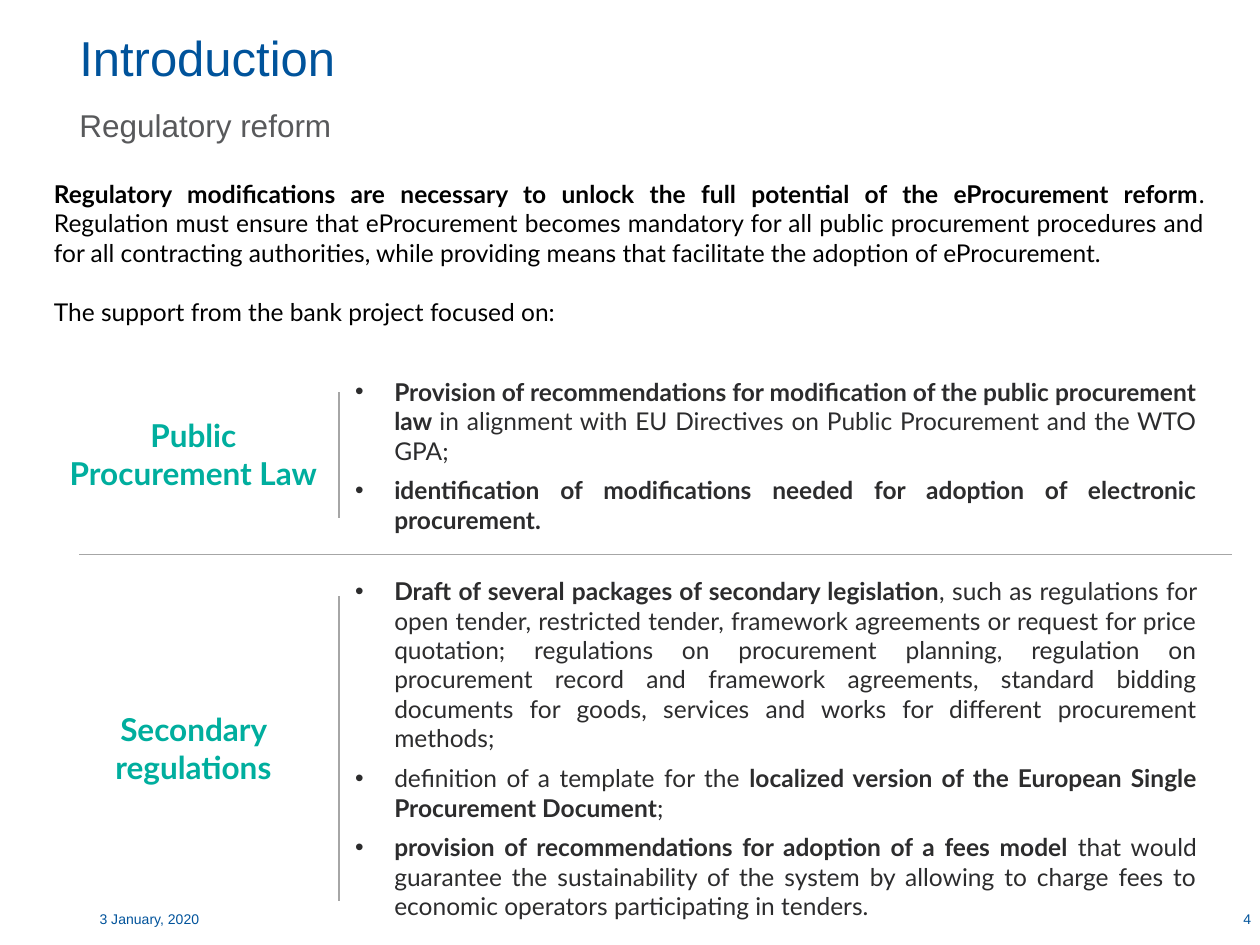
import pptx
import pptx.dml.color
import pptx.enum.shapes
import pptx.enum.text
import pptx.oxml
import pptx.oxml.ns
import pptx.util
from dataclasses import dataclass

Inches = pptx.util.Inches
Pt = pptx.util.Pt
ALIGN = pptx.enum.text.PP_ALIGN
ANCHOR = pptx.enum.text.MSO_ANCHOR


@dataclass(frozen=True)
class Theme:
    heading_font: str = "Arial"
    body_font: str = "Lato"
    blue: str = "00539B"
    grey: str = "58595B"
    black: str = "000000"
    charcoal: str = "2C2C2D"
    teal: str = "00AE9E"
    rule: str = "A6A6A6"
    title_size: int = 28
    heading_size: int = 18
    body_size: int = 14
    footer_size: int = 8
    rule_width: int = 1


THEME = Theme()

INTRO = [
    [("Regulatory modifications are necessary to unlock the full potential of the eProcurement reform", True),
     (". Regulation must ensure that eProcurement becomes mandatory for all public procurement procedures "
      "and for all contracting authorities, while providing means that facilitate the adoption of "
      "eProcurement. ", False)],
    [("The support from the bank project focused on:", False)],
]
LAW = [
    [("Provision of recommendations for modification of the public procurement law ", True),
     ("in alignment with EU Directives on Public Procurement and the WTO GPA;", False)],
    [("identification of modifications needed for adoption of electronic procurement.", True)],
]
REGULATIONS = [
    [("Draft of several packages of secondary legislation", True),
     (", such as regulations for open tender, restricted tender, framework agreements or request for price "
      "quotation; regulations on procurement planning, regulation on procurement record and framework "
      "agreements, standard bidding documents for goods, services and works for different procurement "
      "methods;", False)],
    [("definition of a template for the ", False),
     ("localized version of the European Single Procurement Document", True),
     (";", False)],
    [("provision of recommendations for adoption of a fees model ", True),
     ("that would guarantee the sustainability of the system by allowing to charge fees to economic "
      "operators participating in tenders.", False)],
]


def style_run(run, font, size, color, bold=False):
    run.font.name = font
    run.font.size = Pt(size)
    run.font.bold = bold
    run.font.color.rgb = pptx.dml.color.RGBColor.from_string(color)


def set_frame(frame, margins, anchor):
    frame.word_wrap = True
    frame.auto_size = pptx.enum.text.MSO_AUTO_SIZE.NONE
    frame.vertical_anchor = anchor
    frame.margin_left = frame.margin_right = Inches(margins[0])
    frame.margin_top = frame.margin_bottom = Inches(margins[1])


def add_frame(slide, box, margins=(0, 0), anchor=ANCHOR.MIDDLE):
    frame = slide.shapes.add_textbox(*map(Inches, box)).text_frame
    set_frame(frame, margins, anchor)
    return frame


def fill_label(frame, text, font, size, color, bold=False, align=ALIGN.LEFT):
    frame.text = text
    paragraph = frame.paragraphs[0]
    paragraph.alignment = align
    style_run(paragraph.runs[0], font, size, color, bold)
    return paragraph


def add_title(slide, text):
    title = slide.shapes.title
    title.left, title.top, title.width, title.height = map(Inches, (0.63, 0.11, 7.64, 0.68))
    set_frame(title.text_frame, (0, 0), ANCHOR.MIDDLE)
    fill_label(title.text_frame, text, THEME.heading_font, THEME.title_size, THEME.blue)


def add_footer(slide, text, box, align):
    fill_label(add_frame(slide, box), text, THEME.heading_font, THEME.footer_size, THEME.blue, align=align)


def fill_prose(frame, content, color):
    for index, pieces in enumerate(content):
        paragraph = frame.paragraphs[0] if index == 0 else frame.add_paragraph()
        paragraph.alignment = ALIGN.JUSTIFY
        for text, bold in pieces:
            run = paragraph.add_run()
            run.text = text
            style_run(run, THEME.body_font, THEME.body_size, color, bold)


def add_bullet(paragraph):
    paragraph.space_after = Pt(6)
    properties = paragraph._p.get_or_add_pPr()
    properties.set("marL", str(Inches(0.31)))
    properties.set("indent", str(-Inches(0.31)))
    namespace = pptx.oxml.ns.nsdecls("a")
    properties.append(pptx.oxml.parse_xml(f'<a:buFont {namespace} typeface="Arial"/>'))
    properties.append(pptx.oxml.parse_xml(f'<a:buChar {namespace} char="•"/>'))


def add_rule(slide, x1, y1, x2, y2):
    rule = slide.shapes.add_connector(
        pptx.enum.shapes.MSO_CONNECTOR.STRAIGHT, *map(Inches, (x1, y1, x2, y2)))
    rule.line.color.rgb = pptx.dml.color.RGBColor.from_string(THEME.rule)
    rule.line.width = Pt(THEME.rule_width)
    rule._element.spPr.append(
        pptx.oxml.parse_xml(f'<a:effectLst {pptx.oxml.ns.nsdecls("a")}/>'))


def add_section(slide, heading, content, heading_top, body_top, body_height, rule_top, rule_bottom):
    heading_frame = add_frame(slide, (0.53, heading_top, 2.01, 1.57))
    label = fill_label(heading_frame, heading, THEME.body_font, THEME.heading_size,
                       THEME.teal, True, ALIGN.CENTER)
    label.space_after = Pt(6)
    body = add_frame(slide, (2.66, body_top, 7, body_height), (0.16, 0))
    fill_prose(body, content, THEME.charcoal)
    for paragraph in body.paragraphs:
        add_bullet(paragraph)
    add_rule(slide, 2.69, rule_bottom, 2.69, rule_top)


def main():
    deck = pptx.Presentation()
    deck.slide_width, deck.slide_height = Inches(10), Inches(7.5)
    slide = deck.slides.add_slide(deck.slide_layouts[5])

    add_title(slide, "Introduction")
    subtitle = add_frame(slide, (0.63, 0.79, 8.43, 0.4), (0, 0.05), ANCHOR.TOP)
    fill_label(subtitle, "Regulatory reform", THEME.heading_font, THEME.heading_size, THEME.grey)

    intro = add_frame(slide, (0.33, 1.37, 9.33, 1.28), (0.1, 0.05), ANCHOR.TOP)
    fill_prose(intro, INTRO, THEME.black)
    intro.paragraphs[1].space_before = Pt(1.2 * THEME.body_size)

    add_section(slide, "Public Procurement Law", LAW, 2.82, 3.09, 1.05, 3.11, 4.11)
    add_rule(slide, 0.63, 4.4, 9.78, 4.4)
    add_section(slide, "Secondary regulations", REGULATIONS, 5.15, 4.66, 2.56, 4.73, 7.15)

    add_footer(slide, "3 January, 2020", (0.79, 7.09, 2.05, 0.41), ALIGN.LEFT)
    add_footer(slide, "4", (9.54, 7.09, 0.39, 0.41), ALIGN.RIGHT)
    deck.save("out.pptx")


if __name__ == "__main__":
    main()
